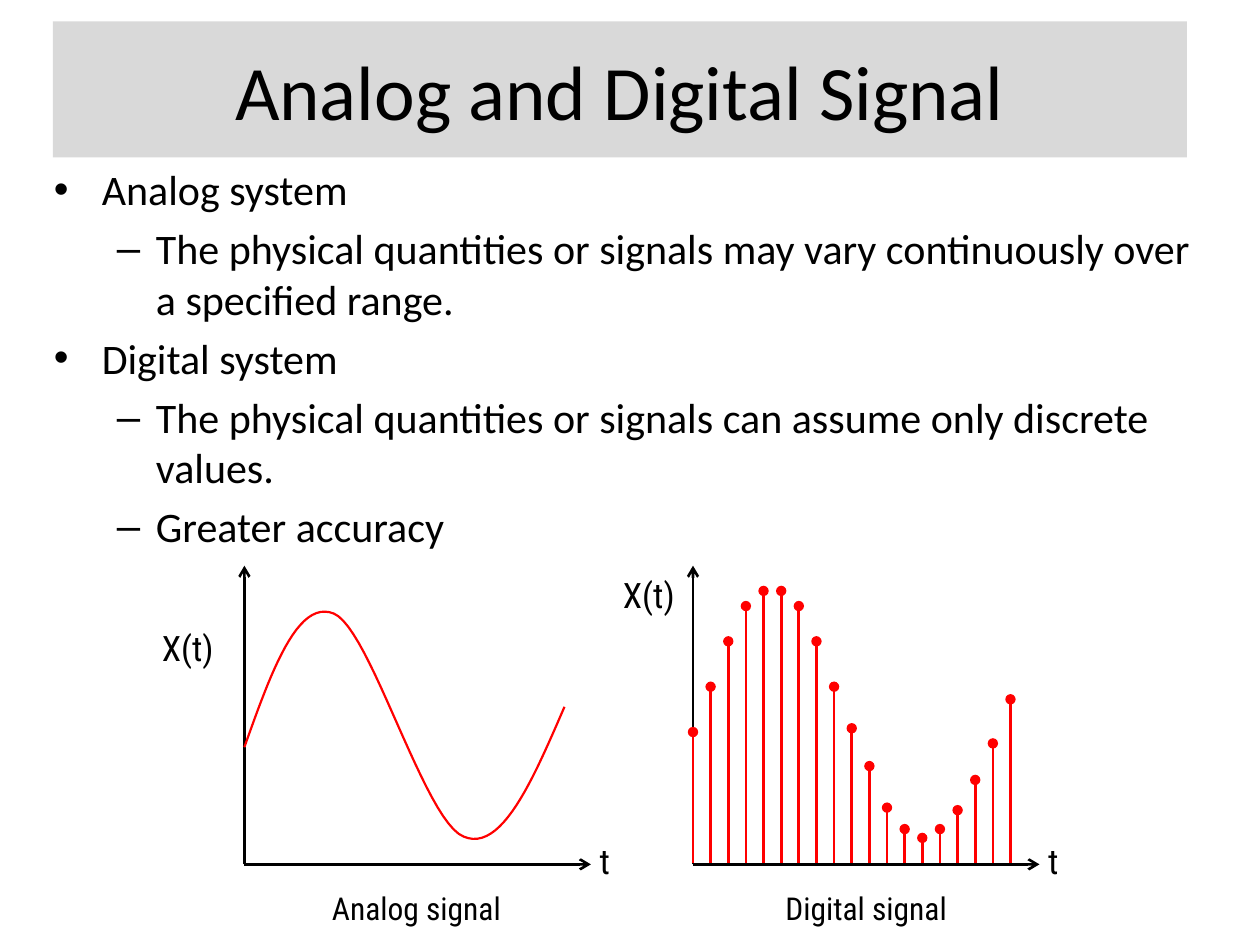
import lxml.etree
import pptx
import pptx.dml.color
import pptx.enum.shapes
import pptx.enum.text
import pptx.oxml.ns
import pptx.util

PX = 9144
BLACK, RED, WHITE, GRAY = "000000", "FF0000", "FFFFFF", "D9D9D9"
CENTER = pptx.enum.text.PP_ALIGN.CENTER
MIDDLE = pptx.enum.text.MSO_ANCHOR.MIDDLE
CALIBRI, ROBOTO = "Calibri", "Roboto Condensed"

BULLETS = [
    (0, "Analog system"),
    (1, "The physical quantities or signals may vary continuously over a specified range."),
    (0, "Digital system"),
    (1, "The physical quantities or signals can assume only discrete values."),
    (1, "Greater accuracy"),
]
BULLET_STYLES = [("•", 38, -38), ("–", 81, -31)]
WAVE = [
    [(0, 144), (21, 85), (42, 26), (71, 38)],
    [(71, 38), (100, 50), (143, 203), (174, 215)],
    [(174, 215), (204, 228), (229, 170), (254, 112)],
]
STEM_TOPS = [132, 96, 60, 32, 20, 20, 32, 60, 96, 129, 159, 192, 209, 216, 209, 194, 170, 141, 106]
STEM_GAP = 14
AXIS_HEIGHT, AXIS_WIDTH = 237, 275


def px(value):
    """Turn px into EMU."""
    return pptx.util.Emu(round(value * PX))


def color(value):
    """Turn a hex string into a colour."""
    return pptx.dml.color.RGBColor.from_string(value)


def add_element(parent, tag, **attributes):
    """Append a DrawingML element to a parent."""
    element = lxml.etree.SubElement(parent, pptx.oxml.ns.qn(tag))
    for name, value in attributes.items():
        element.set(name, str(value))


def format_font(paragraph, size, name):
    """Set the font of a paragraph."""
    values = {"size": pptx.util.Pt(size), "name": name}
    for attribute, value in values.items():
        setattr(paragraph.font, attribute, value)
    paragraph.font.color.rgb = color(BLACK)


def place(shape, left, top, width, height):
    """Move and size a shape."""
    values = {"left": left, "top": top, "width": width, "height": height}
    for attribute, value in values.items():
        setattr(shape, attribute, px(value))


def add_title(slide, left, top, width, height):
    """Fill the title placeholder on its grey band."""
    title = slide.shapes.title
    place(title, left, top, width, height)
    title.fill.solid()
    title.fill.fore_color.rgb = color(GRAY)
    title.text_frame.text = "Analog and Digital Signal"
    title.text_frame.vertical_anchor = MIDDLE
    paragraph = title.text_frame.paragraphs[0]
    paragraph.alignment = CENTER
    format_font(paragraph, 44, CALIBRI)


def add_bullets(slide, left, top, width, height):
    """Write the two-level list."""
    box = slide.shapes.add_textbox(px(left), px(top), px(width), px(height))
    frame = box.text_frame
    frame.word_wrap = True
    for index, (level, text) in enumerate(BULLETS):
        paragraph = frame.add_paragraph() if index else frame.paragraphs[0]
        paragraph.text = text
        paragraph.level = level
        paragraph.space_before = pptx.util.Pt(5 if index else 0)
        character, margin, indent = BULLET_STYLES[level]
        properties = paragraph._p.get_or_add_pPr()
        properties.set("marL", str(px(margin)))
        properties.set("indent", str(px(indent)))
        add_element(properties, "a:buFont", typeface="Arial")
        add_element(properties, "a:buChar", char=character)
        format_font(paragraph, 24, CALIBRI)


def add_label(slide, text, left, top, width, height, size=20):
    """Write a centred label that does not wrap."""
    box = slide.shapes.add_textbox(px(left), px(top), px(width), px(height))
    frame = box.text_frame
    frame.word_wrap = False
    frame.auto_size = pptx.enum.text.MSO_AUTO_SIZE.SHAPE_TO_FIT_TEXT
    paragraph = frame.paragraphs[0]
    paragraph.text = text
    paragraph.alignment = CENTER
    format_font(paragraph, size, ROBOTO)


def add_line(slide, start, end, line_color, head):
    """Draw a straight line with a head at its end."""
    connector = slide.shapes.add_connector(
        pptx.enum.shapes.MSO_CONNECTOR.STRAIGHT, *map(px, start + end))
    connector.line.width = pptx.util.Pt(1.5)
    connector.line.color.rgb = color(line_color)
    add_element(connector.line._get_or_add_ln(), "a:tailEnd", type=head)
    add_element(connector._element.spPr, "a:effectLst")


def add_axes(slide, left, top):
    """Draw both axes and the time label."""
    base = top + AXIS_HEIGHT
    add_line(slide, (left, base), (left, top), BLACK, "arrow")
    add_line(slide, (left, base), (left + AXIS_WIDTH, base), BLACK, "arrow")
    add_label(slide, "t", left + 272, top + 212, 28, 44)


def bezier(points, t):
    """Return the point at t on a cubic curve."""
    weights = [(1 - t) ** 3, 3 * t * (1 - t) ** 2, 3 * t ** 2 * (1 - t), t ** 3]
    return [sum(w * point[axis] for w, point in zip(weights, points)) for axis in (0, 1)]


def add_analog_plot(slide, left, top):
    """Draw the continuous signal on its axes."""
    add_axes(slide, left, top)
    steps = 24
    points = [WAVE[0][0]] + [
        bezier(segment, step / steps) for segment in WAVE for step in range(1, steps + 1)]
    points = [(px(left + x), px(top + y)) for x, y in points]
    builder = slide.shapes.build_freeform(*points[0])
    builder.add_line_segments(points[1:], close=False)
    wave = builder.convert_to_shape()
    wave.shadow.inherit = False
    wave.fill.solid()
    wave.fill.fore_color.rgb = color(WHITE)
    wave.line.color.rgb = color(RED)
    wave.line.width = pptx.util.Pt(1.25)
    add_label(slide, "X(t)", left - 77, top + 43, 64, 44)
    add_label(slide, "Analog signal", left + 56, top + 252, 161, 40, 18)


def add_digital_plot(slide, left, top):
    """Draw the sampled signal on its axes."""
    add_axes(slide, left, top)
    for index, height in enumerate(STEM_TOPS):
        x = left + index * STEM_GAP
        add_line(slide, (x, top + AXIS_HEIGHT - 1), (x, top + height), RED, "oval")
    add_label(slide, "X(t)", left - 67, top + 1, 64, 44)
    add_label(slide, "Digital signal", left + 59, top + 252, 157, 40, 18)


def main():
    """Build and save the slide."""
    presentation = pptx.Presentation()
    presentation.slide_width = px(1000)
    presentation.slide_height = px(750)
    slide = presentation.slides.add_slide(presentation.slide_layouts[5])
    add_title(slide, 42, 17, 900, 108)
    add_bullets(slide, 33, 125, 937, 577)
    add_analog_plot(slide, 194, 449)
    add_digital_plot(slide, 550, 449)
    presentation.save("out.pptx")


if __name__ == "__main__":
    main()
